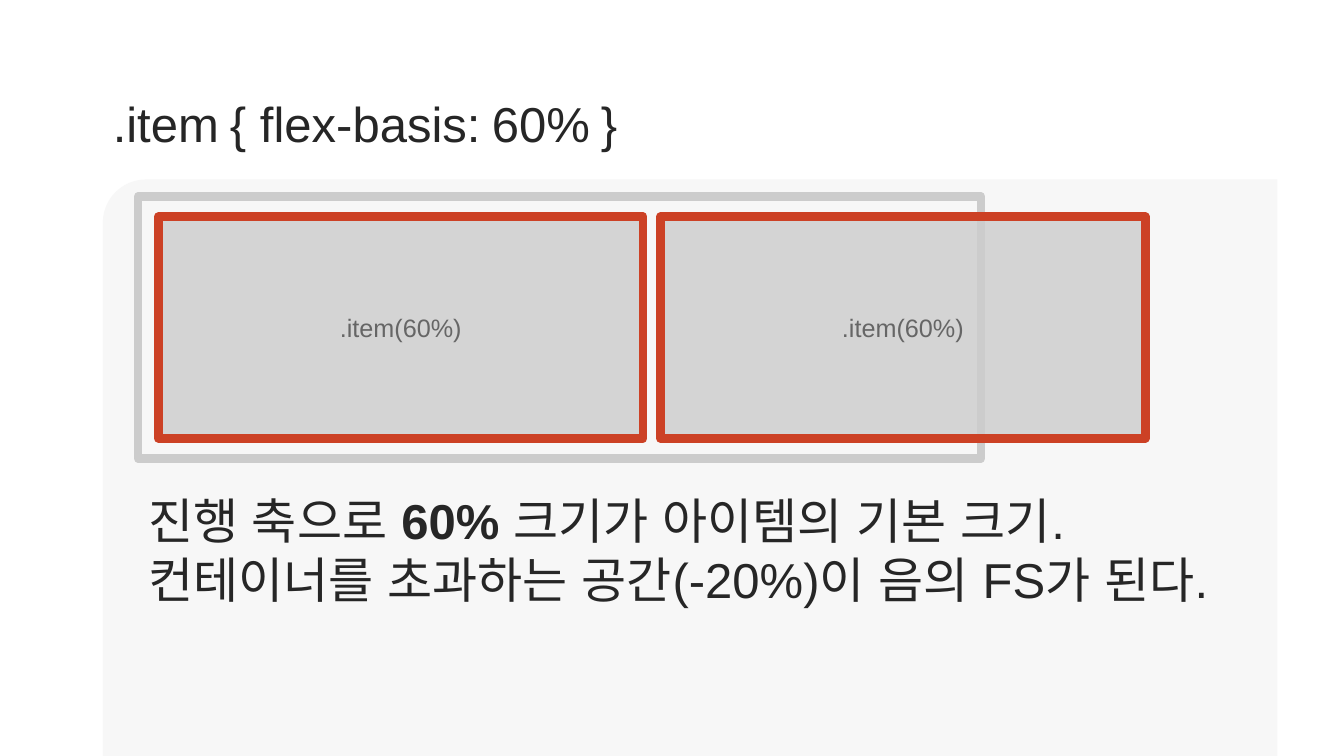
from dataclasses import dataclass

from lxml import etree
from pptx import Presentation
from pptx import util as u
from pptx.dml.color import RGBColor
from pptx.enum import shapes, text
from pptx.oxml import ns


@dataclass(frozen=True)
class Theme:
    font: str = "Arial"
    panel: str = "F7F7F7"
    ink: str = "262626"
    label: str = "666666"
    gray: str = "CCCCCC"
    red: str = "CC4125"
    big: int = 35
    gap: int = 28
    small: int = 18
    edge: int = 6
    pitch: int = 42


THEME = Theme()


def style(run, size, color, bold=False):
    font = run.font
    font.name, font.size, font.bold = THEME.font, u.Pt(size), bold
    font.color.rgb = RGBColor.from_string(color)
    asian = etree.SubElement(run._r.get_or_add_rPr(), ns.qn("a:ea"))
    asian.set("typeface", THEME.font)


def add_box(slide, box, kind=shapes.MSO_SHAPE.RECTANGLE, fill=None, line=None):
    shape = slide.shapes.add_shape(kind, *map(u.Inches, box))
    shape.shadow.inherit = False
    if fill:
        shape.fill.solid()
        shape.fill.fore_color.rgb = RGBColor.from_string(fill)
    else:
        shape.fill.background()
    if line:
        shape.line.color.rgb = RGBColor.from_string(line)
        shape.line.width = u.Pt(THEME.edge)
    else:
        shape.line.fill.background()
    return shape


def add_panel(slide, box):
    """Draw the backdrop with its top left corner rounded."""
    kind = shapes.MSO_SHAPE.ROUND_1_RECTANGLE
    panel = add_box(slide, box, kind, fill=THEME.panel)
    panel.adjustments[0] = 0.075
    panel._element.spPr.find(ns.qn("a:xfrm")).set("flipH", "1")


def add_frame(slide, box):
    frame = slide.shapes.add_textbox(*map(u.Inches, box)).text_frame
    frame.word_wrap = True
    return frame


def add_title(slide, box):
    frame = add_frame(slide, box)
    frame.vertical_anchor = text.MSO_ANCHOR.MIDDLE
    para = frame.paragraphs[0]
    for part in (".item", " ", "{ flex-basis:", " ", "60%", " ", "}"):
        run = para.add_run()
        run.text = part
        style(run, THEME.gap if part == " " else THEME.big, THEME.ink)


def add_body(slide, box):
    frame = add_frame(slide, box)
    lines = (
        (("진행 축으로 ", False), ("60% ", True), ("크기가 아이템의 기본 크기.", False)),
        (("컨테이너를 초과하는 공간(-20%)이 음의 FS가 된다.", False),),
    )
    for i, line in enumerate(lines):
        para = frame.add_paragraph() if i else frame.paragraphs[0]
        para.line_spacing = u.Pt(THEME.pitch)
        for part, bold in line:
            run = para.add_run()
            run.text = part
            style(run, THEME.big, THEME.ink, bold)


def add_item(slide, box):
    item = add_box(slide, box, fill=THEME.gray, line=THEME.red)
    tint = item._element.spPr.find(ns.qn("a:solidFill"))[0]
    etree.SubElement(tint, ns.qn("a:alpha")).set("val", "80000")
    frame = item.text_frame
    frame.text = ".item(60%)"
    frame.vertical_anchor = text.MSO_ANCHOR.MIDDLE
    para = frame.paragraphs[0]
    para.alignment = text.PP_ALIGN.CENTER
    style(para.runs[0], THEME.small, THEME.label)


def add_flex(slide, box):
    """Draw the container and two items that overflow it."""
    left, top, width, height = box
    add_box(slide, box, line=THEME.gray)
    pad, wide, step = 0.2, 4.81, 4.98
    for i in range(2):
        add_item(slide, (left + pad + i * step, top + pad, wide, height - 2 * pad))


def main():
    deck = Presentation()
    deck.slide_width, deck.slide_height = u.Inches(13.33), u.Inches(7.5)
    slide = deck.slides.add_slide(deck.slide_layouts[6])
    add_panel(slide, (1.02, 1.78, 11.65, 5.72))
    add_title(slide, (1.02, 0.88, 12.31, 0.67))
    add_body(slide, (1.37, 4.82, 11.29, 1.3))
    add_flex(slide, (1.37, 1.95, 8.36, 2.6))
    deck.save("out.pptx")


if __name__ == "__main__":
    main()
